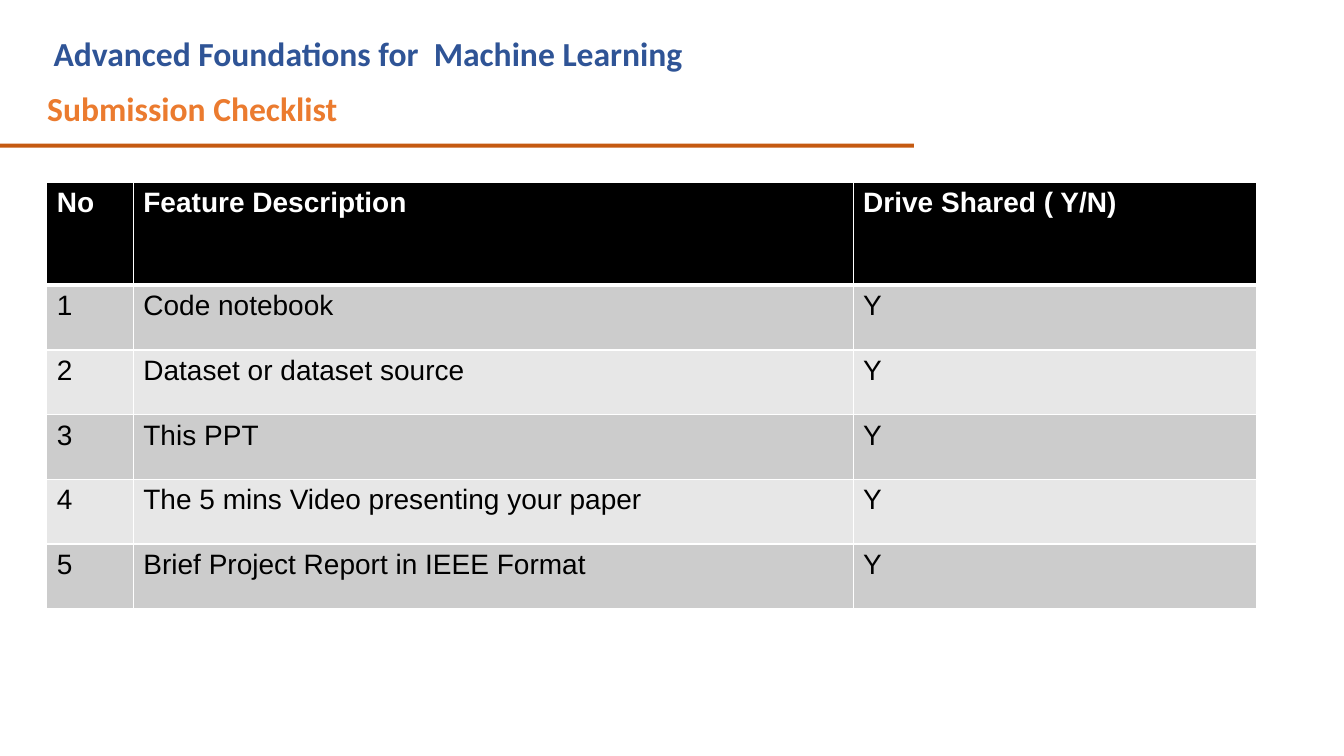
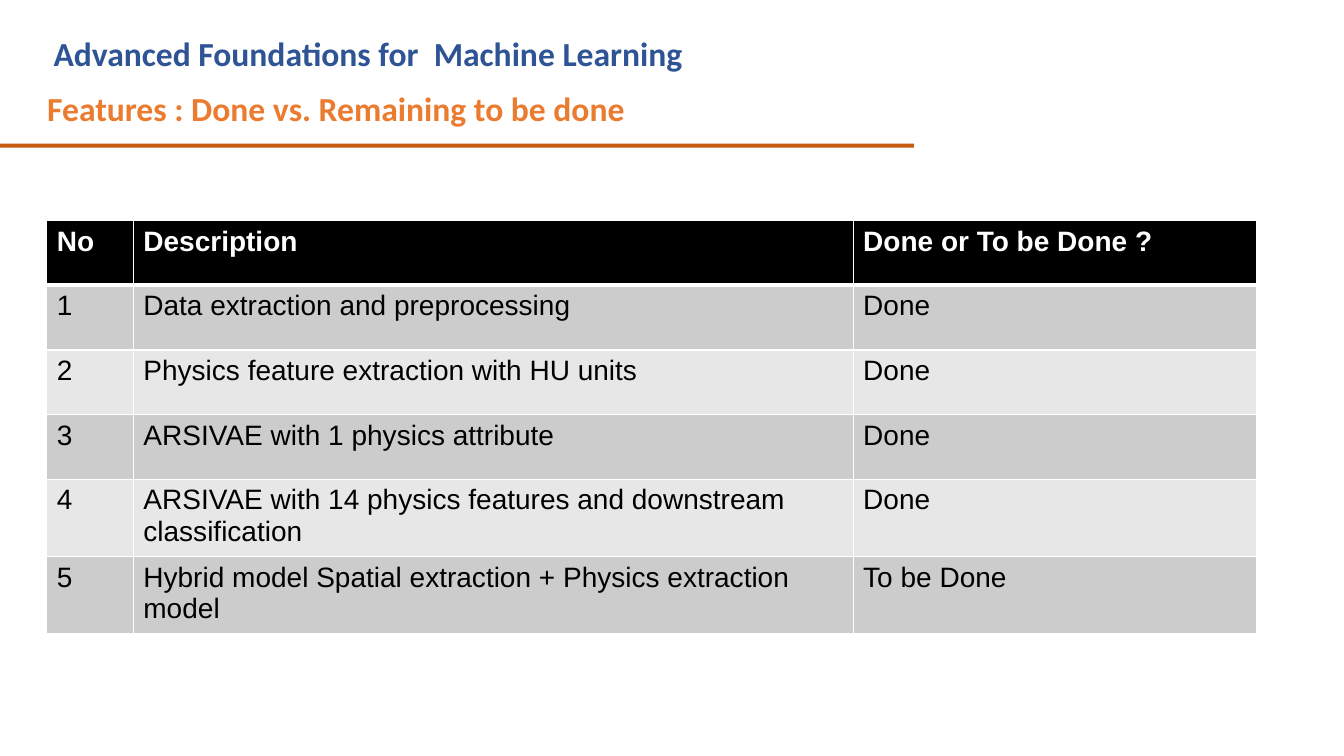
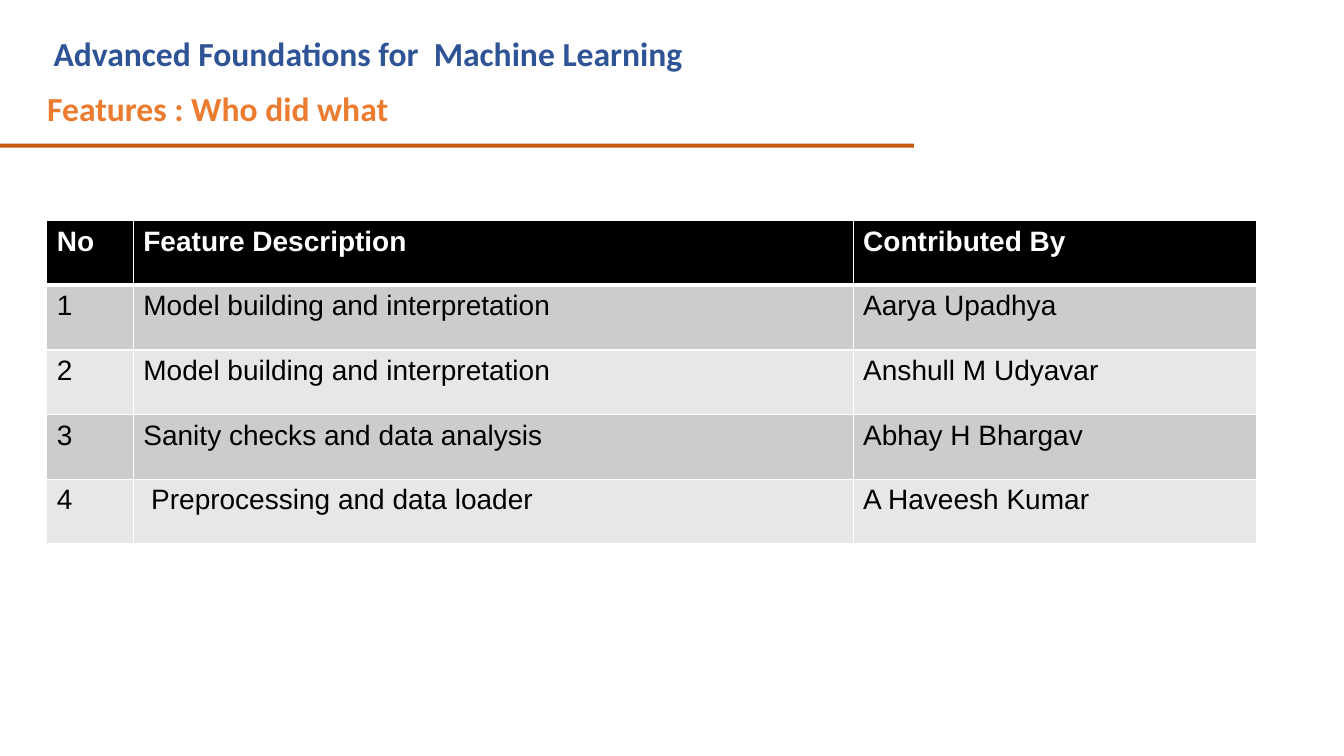
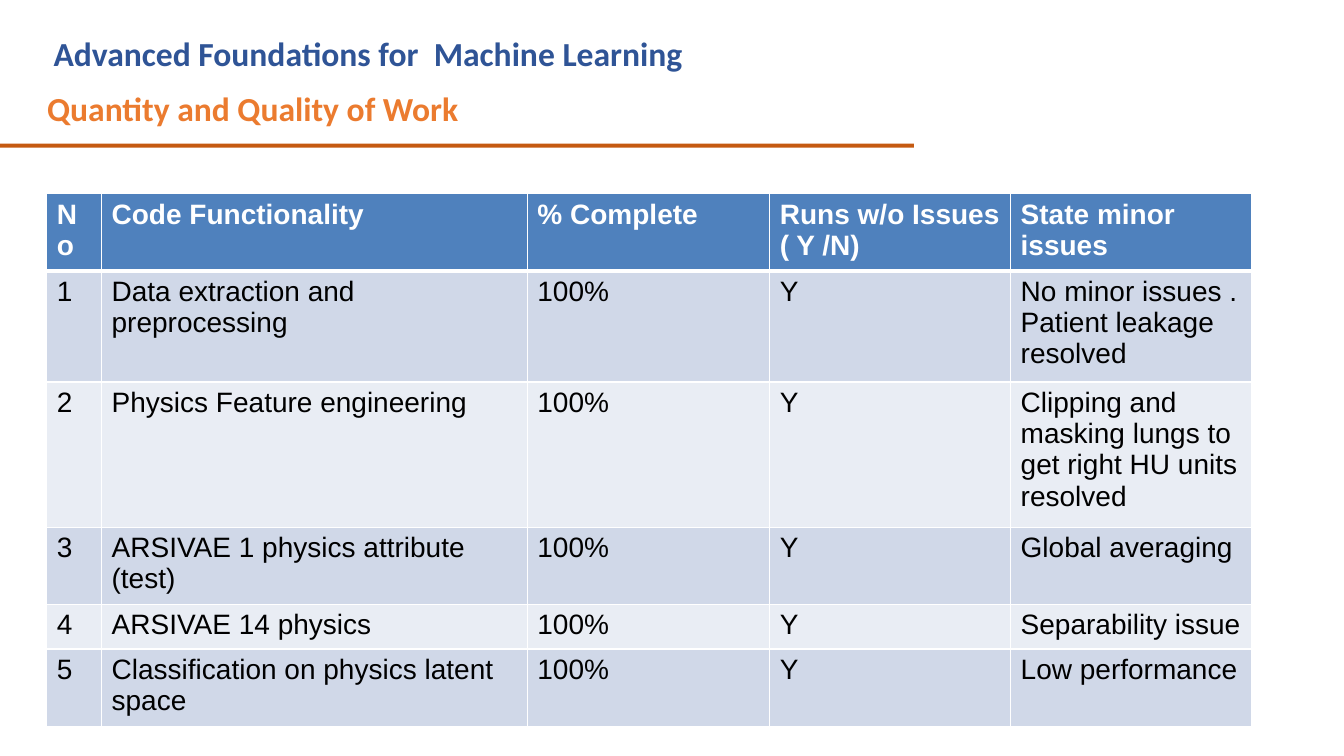
from dataclasses import dataclass

from lxml import etree
from pptx import Presentation
from pptx.dml.color import RGBColor
from pptx.enum.shapes import MSO_SHAPE
from pptx.oxml.ns import qn
from pptx.util import Cm, Pt

RECT = MSO_SHAPE.RECTANGLE

COLORS = {
    "course": "2F5496",
    "title": "EB7B2F",
    "rule": "C55A11",
    "black": "000000",
    "white": "FFFFFF",
    "gray": "CCCCCC",
    "pale gray": "E7E7E7",
    "blue": "4F81BD",
    "mist": "D0D8E8",
    "pale mist": "E9EDF4",
}
COURSE = "Advanced Foundations for  Machine Learning"
HEAD_FONT = "Calibri"
BODY_FONT = "Arial"
LEFT = 1.18
ROW = 1.63
TALL = 1.94
THIN, THICK = 1, 3


@dataclass(frozen=True)
class Theme:
    head: str
    odd: str
    even: str


GRAY = Theme("black", "gray", "pale gray")
BLUE = Theme("blue", "mist", "pale mist")
COLS = (2.18, 18.14, 10.16)


@dataclass(frozen=True)
class Page:
    """Content of one slide; lengths in cm. Row numbers are added on drawing."""
    title: str
    top: float
    heights: tuple
    head: tuple
    rows: tuple
    cols: tuple = COLS
    theme: Theme = GRAY


PAGES = (
    Page(
        "Submission Checklist", 4.6, (2.59,) + (ROW,) * 5,
        ("Feature Description", "Drive Shared ( Y/N)"),
        (
            ("Code notebook", "Y"),
            ("Dataset or dataset source", "Y"),
            ("This PPT", "Y"),
            ("The 5 mins Video presenting your paper", "Y"),
            ("Brief Project Report in IEEE Format", "Y"),
        ),
    ),
    Page(
        "Features : Done vs. Remaining to be done", 5.56,
        (ROW,) * 4 + (TALL,) * 2,
        ("Description", "Done or To be Done ?"),
        (
            ("Data extraction and preprocessing", "Done"),
            ("Physics feature extraction with HU units", "Done"),
            ("ARSIVAE with 1 physics attribute", "Done"),
            ("ARSIVAE with 14 physics features and downstream classification",
             "Done"),
            ("Hybrid model Spatial extraction + Physics extraction model",
             "To be Done"),
        ),
    ),
    Page(
        "Features : Who did what", 5.56, (ROW,) * 5,
        ("Feature Description", "Contributed By"),
        (
            ("Model building and interpretation", "Aarya Upadhya"),
            ("Model building and interpretation", "Anshull M Udyavar"),
            ("Sanity checks and data analysis", "Abhay H Bhargav"),
            (" Preprocessing and data loader", "A Haveesh Kumar"),
        ),
    ),
    Page(
        "Quantity and Quality of Work", 4.88,
        (TALL, 2.79, 3.66, TALL, 1.12, TALL),
        ("Code Functionality", "% Complete", "Runs w/o Issues ( Y /N)",
         "State minor issues"),
        (
            ("Data extraction and preprocessing", "100%", "Y",
             "No minor issues . Patient leakage resolved"),
            ("Physics Feature engineering", "100%", "Y",
             "Clipping and masking lungs to get right HU units resolved"),
            ("ARSIVAE 1 physics attribute (test)", "100%", "Y",
             "Global averaging"),
            ("ARSIVAE 14 physics", "100%", "Y", "Separability issue"),
            ("Classification on physics latent space", "100%", "Y",
             "Low performance"),
        ),
        (1.38, 10.73, 6.11, 6.07, 6.07), BLUE,
    ),
)


def rgb(name: str) -> RGBColor:
    return RGBColor.from_string(COLORS[name])


def style(frame, font: str, size: int, color: str, bold: bool) -> None:
    for para in frame.paragraphs:
        for run in para.runs:
            run.font.name = font
            run.font.size = Pt(size)
            run.font.bold = bold
            run.font.color.rgb = rgb(color)


def add_text(slide, text: str, box: tuple, color: str):
    frame = slide.shapes.add_textbox(*map(Cm, box)).text_frame
    frame.word_wrap = True
    frame.text = text
    style(frame, HEAD_FONT, 24, color, True)
    return frame


def add_header(slide, title: str) -> None:
    rule = slide.shapes.add_shape(RECT, 0, Cm(3.62), Cm(23.03), Cm(0.1))
    rule.shadow.inherit = False
    rule.fill.solid()
    rule.fill.fore_color.rgb = rgb("rule")
    rule.line.fill.background()

    add_text(slide, COURSE, (1.1, 0.7, 20.83, 1.27), "course")

    frame = add_text(slide, title, (1.17, 1.83, 15.09, 1.42), "title")
    frame.margin_left = frame.margin_right = frame.margin_bottom = 0
    frame.margin_top = Cm(0.03)
    para = frame.paragraphs[0]
    para.line_spacing = 1.35
    props = para._p.get_or_add_pPr()
    props.set("marL", str(Cm(0.15)))
    props.set("indent", str(Cm(-0.13)))


def add_borders(cell, top: int, bottom: int) -> None:
    """Draw white cell borders; call before the fill is set."""
    props = cell._tc.get_or_add_tcPr()
    widths = {"lnL": THIN, "lnR": THIN, "lnT": top, "lnB": bottom}
    for side, width in widths.items():
        line = etree.SubElement(props, qn(f"a:{side}"), w=str(Pt(width)))
        fill = etree.SubElement(line, qn("a:solidFill"))
        etree.SubElement(fill, qn("a:srgbClr"), val=COLORS["white"])


def add_grid(slide, page: Page) -> None:
    rows = [("No",) + page.head]
    rows += [(str(i),) + row for i, row in enumerate(page.rows, 1)]
    grid = slide.shapes.add_table(
        len(rows), len(page.cols), Cm(LEFT), Cm(page.top),
        Cm(sum(page.cols)), Cm(sum(page.heights))).table
    grid.horz_banding = False
    for col, width in zip(grid.columns, page.cols):
        col.width = Cm(width)
    for i, (row, height) in enumerate(zip(grid.rows, page.heights)):
        row.height = Cm(height)
        head = i == 0
        bands = (page.theme.even, page.theme.odd)
        back = page.theme.head if head else bands[i % 2]
        for cell, text in zip(row.cells, rows[i]):
            add_borders(cell, THICK if i == 1 else THIN,
                        THICK if head else THIN)
            cell.fill.solid()
            cell.fill.fore_color.rgb = rgb(back)
            cell.text_frame.text = text
            style(cell.text_frame, BODY_FONT, 20,
                  "white" if head else "black", head)


def main() -> None:
    deck = Presentation()
    deck.slide_width, deck.slide_height = Cm(33.87), Cm(19.05)
    blank = deck.slide_layouts[6]
    for page in PAGES:
        slide = deck.slides.add_slide(blank)
        add_header(slide, page.title)
        add_grid(slide, page)
    deck.save("out.pptx")


if __name__ == "__main__":
    main()
